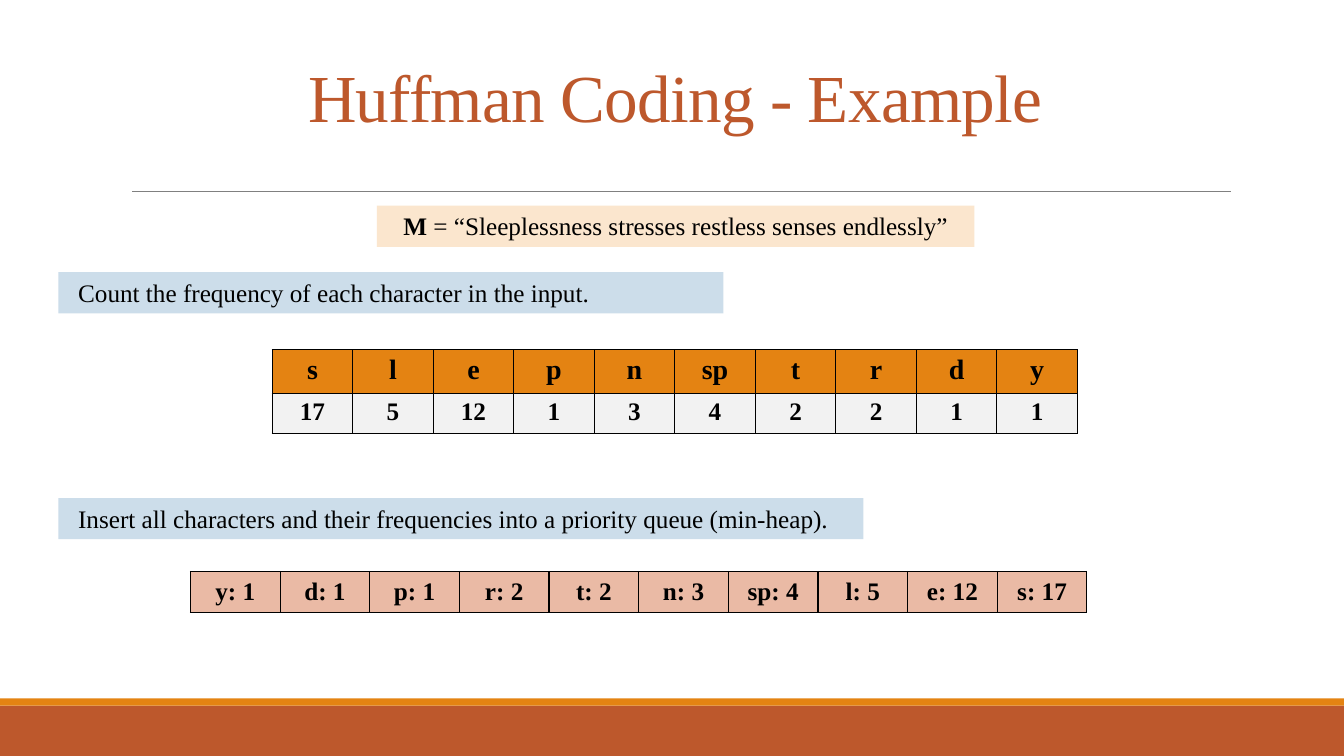
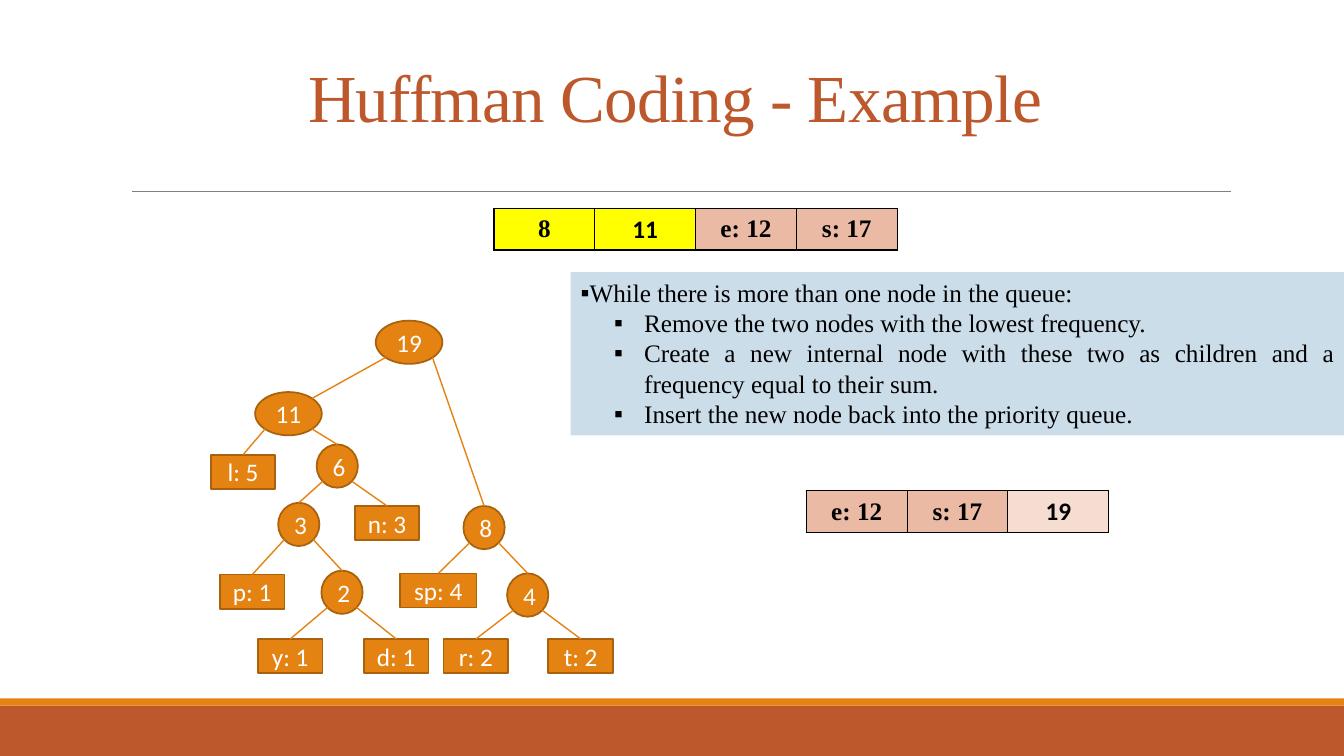
from lxml import etree
from pptx import Presentation
from pptx.dml.color import RGBColor
from pptx.enum import shapes, text
from pptx.oxml import ns
from pptx.util import Cm, Pt

RUST = RGBColor(0xBD, 0x58, 0x2C)
ORANGE = RGBColor(0xE4, 0x83, 0x12)
BROWN = RGBColor(0xA9, 0x61, 0x0D)
GREY = RGBColor(0x80, 0x80, 0x80)
CREAM = RGBColor(0xFB, 0xE6, 0xCE)
BLUE = RGBColor(0xCC, 0xDD, 0xEA)
SALMON = RGBColor(0xEA, 0xBA, 0xA5)
PINK = RGBColor(0xF5, 0xDD, 0xD2)
YELLOW = RGBColor(0xFF, 0xFF, 0x00)
PALE = RGBColor(0xF2, 0xF2, 0xF2)
BLACK = RGBColor(0, 0, 0)
WHITE = RGBColor(0xFF, 0xFF, 0xFF)
SERIF, SANS = "Times New Roman", "Calibri"
CENTER, JUSTIFY = text.PP_ALIGN.CENTER, text.PP_ALIGN.JUSTIFY

# Content
TITLE = "Huffman Coding - Example"
MESSAGE = ["M", " = “Sleeplessness stresses restless senses endlessly”"]
STEPS = [  # text, top, width
    ("Count the frequency of each character in the input.", 6.86, 16.76),
    ("Insert all characters and their frequencies into a priority queue (min-heap).", 12.55, 20.29),
]
FREQUENCIES = [("s", 17), ("l", 5), ("e", 12), ("p", 1), ("n", 3),
               ("sp", 4), ("t", 2), ("r", 2), ("d", 1), ("y", 1)]
FIRST_QUEUE = ["y: 1", "d: 1", "p: 1", "r: 2", "t: 2", "n: 3", "sp: 4", "l: 5", "e: 12", "s: 17"]
QUEUE_BEFORE = [("8", YELLOW, SERIF), ("11", YELLOW, SANS),
                ("e: 12", SALMON, SERIF), ("s: 17", SALMON, SERIF)]
QUEUE_AFTER = [("e: 12", SALMON, SERIF), ("s: 17", SALMON, SERIF), ("19", PINK, SANS)]
LOOP = [
    "While there is more than one node in the queue:",
    "Remove the two nodes with the lowest frequency.",
    "Create a new internal node with these two as children and a frequency equal to their sum.",
    "Insert the new node back into the priority queue.",
]
NODES = {  # left, top
    "19": (9.47, 8.08), "11": (6.43, 9.88), "l: 5": (5.31, 11.46),
    "6": (7.98, 11.2), "3": (7.01, 12.67), "n: 3": (8.94, 12.75),
    "8": (11.68, 12.75), "p: 1": (5.54, 14.48), "2": (8.1, 14.38),
    "sp: 4": (10.08, 14.45), "4": (12.78, 14.45),
    "y: 1": (6.5, 16.1), "d: 1": (9.17, 16.1), "r: 2": (11.18, 16.1), "t: 2": (13.82, 16.1),
}
CHILDREN = {"19": ("11", "8"), "11": ("l: 5", "6"), "6": ("3", "n: 3"), "3": ("p: 1", "2"),
            "2": ("y: 1", "d: 1"), "8": ("sp: 4", "4"), "4": ("r: 2", "t: 2")}
JOINED_AT_RIM = {"11"}
RIM = 0.35  # offset of a diagonal rim point from an oval's centre, in widths


def style(p, size=18, color=BLACK, font=SERIF, bold=False, align=None):
    p.alignment = align
    for r in p.runs:
        r.font.size, r.font.name, r.font.bold = Pt(size), font, bold
        r.font.color.rgb = color


def paint(sp, fill, line=None, width=1.25):
    sp.fill.solid()
    sp.fill.fore_color.rgb = fill
    if line is None:
        sp.line.fill.background()
    else:
        sp.line.color.rgb, sp.line.width = line, Pt(width)


def add_line(slide, start, end, color, width):
    line = slide.shapes.add_connector(shapes.MSO_CONNECTOR.STRAIGHT, *start, *end)
    line.line.color.rgb, line.line.width = color, Pt(width)
    etree.SubElement(line.element.spPr, ns.qn("a:effectLst"))
    return line


def indent(p, left, first=0, bullet=None):
    pPr = p._p.get_or_add_pPr()
    pPr.set("marL", str(Cm(left)))
    pPr.set("indent", str(Cm(first)))
    if bullet:
        etree.SubElement(pPr, ns.qn("a:buChar")).set("char", bullet)


def add_caption(slide, left, top, width, fill, parts, align):
    sp = slide.shapes.add_textbox(Cm(left), Cm(top), Cm(width), Cm(1.04))
    paint(sp, fill)
    sp.text_frame.word_wrap = True
    p = sp.text_frame.paragraphs[0]
    for part in parts:
        p.add_run().text = part
    style(p, align=align)
    return p


def border(cell):
    tcPr = cell._tc.get_or_add_tcPr()
    for side in ("lnL", "lnR", "lnT", "lnB"):
        ln = etree.SubElement(tcPr, ns.qn("a:" + side), w=str(Pt(1)))
        solid = etree.SubElement(ln, ns.qn("a:solidFill"))
        etree.SubElement(solid, ns.qn("a:srgbClr"), val=str(BLACK))


def add_grid(slide, left, top, col_width, heights, rows, sizes=(18,), tight=True):
    """Add a bordered table whose cells are (text, fill, font)."""
    columns = len(rows[0])
    table = slide.shapes.add_table(len(rows), columns, Cm(left), Cm(top),
                                   Cm(col_width * columns), Cm(sum(heights))).table
    table.first_row = table.horz_banding = False
    for column in table.columns:
        column.width = Cm(col_width)
    for i, (row, height, size) in enumerate(zip(rows, heights, sizes)):
        table.rows[i].height = Cm(height)
        for j, (label, fill, font) in enumerate(row):
            cell = table.cell(i, j)
            border(cell)
            cell.fill.solid()
            cell.fill.fore_color.rgb = fill
            cell.text_frame.text = label
            style(cell.text_frame.paragraphs[0], size, font=font, bold=True, align=CENTER)
            if tight:
                cell.vertical_anchor = text.MSO_ANCHOR.MIDDLE
                cell.margin_left = cell.margin_right = Cm(0.08)
                cell.margin_top = cell.margin_bottom = Cm(0.05)


def add_node(slide, label):
    left, top = NODES[label]
    if label in CHILDREN:
        kind = shapes.MSO_SHAPE.FLOWCHART_CONNECTOR
        width, height = (1.68 if len(label) > 1 else 1.04), 1.09
    else:
        kind = shapes.MSO_SHAPE.RECTANGLE
        width, height = (1.93 if len(label) > 4 else 1.63), 0.86
    sp = slide.shapes.add_shape(kind, Cm(left), Cm(top), Cm(width), Cm(height))
    sp.shadow.inherit = False
    paint(sp, ORANGE, BROWN)
    sp.text_frame.text = label
    style(sp.text_frame.paragraphs[0], color=WHITE, font=SANS, align=CENTER)
    return sp


def rim_point(oval, dx, dy):
    return (int(oval.left + oval.width * (0.5 + RIM * dx)),
            int(oval.top + oval.height * (0.5 + RIM * dy)))


def add_tree(slide):
    nodes = {label: add_node(slide, label) for label in NODES}
    for parent, pair in CHILDREN.items():
        for child, side in zip(pair, (-1, 1)):
            start = rim_point(nodes[parent], side, 1)
            end = rim_point(nodes[child], -side, -1)
            line = add_line(slide, start, end, ORANGE, 1)
            if child not in JOINED_AT_RIM:
                line.end_connect(nodes[child], 0)


def set_up_master(prs, slide):
    """Place the shared title, bands and rule on the master, drawing them by way of a slide."""
    master = prs.slide_master
    title = master.placeholders[0]
    title.left, title.top, title.width, title.height = Cm(3.05), Cm(1.27), Cm(27.94), Cm(2.29)
    title.text_frame.vertical_anchor = text.MSO_ANCHOR.BOTTOM
    title.text_frame.auto_size = text.MSO_AUTO_SIZE.NONE
    decor = []
    for top, height, color in ((17.78, 1.27, RUST), (17.6, 0.18, ORANGE)):
        band = slide.shapes.add_shape(shapes.MSO_SHAPE.RECTANGLE, 0, Cm(top),
                                      prs.slide_width, Cm(height))
        band.shadow.inherit = False
        paint(band, color)
        decor.append(band)
    decor.append(add_line(slide, (Cm(3.33), Cm(4.83)), (Cm(31.01), Cm(4.83)), GREY, 0.5))
    for i, sp in enumerate(decor):
        sp.element.xpath(".//p:cNvPr")[0].set("id", str(100 + i))
        master.shapes.element.insert(2 + i, sp.element)


def add_slide(prs, layout):
    slide = prs.slides.add_slide(prs.slide_layouts[layout])
    slide.shapes.title.text_frame.text = TITLE
    p = slide.shapes.title.text_frame.paragraphs[0]
    style(p, 48, RUST, align=CENTER)
    p.line_spacing = 0.85
    p.runs[0].font._element.set("spc", "-50")
    return slide


def fill_counting_slide(slide):
    p = add_caption(slide, 9.5, 5.18, 15.06, CREAM, MESSAGE, CENTER)
    p.runs[0].font.bold = True
    for step, top, width in STEPS:
        indent(add_caption(slide, 1.47, top, width, BLUE, [step], JUSTIFY), 0.25)
    rows = [[(letter, ORANGE, SERIF) for letter, _ in FREQUENCIES],
            [(str(count), PALE, SERIF) for _, count in FREQUENCIES]]
    add_grid(slide, 6.86, 8.81, 2.03, (1.1, 1.02), rows, sizes=(20, 18), tight=False)
    queue = [(label, SALMON, SERIF) for label in FIRST_QUEUE]
    add_grid(slide, 4.8, 14.4, 2.26, (1.04,), [queue])


def fill_merging_slide(slide):
    body = slide.placeholders[1]
    body.left, body.top, body.width, body.height = Cm(14.38), Cm(6.86), Cm(19.51), Cm(4.11)
    paint(body, BLUE)
    tf = body.text_frame
    tf.auto_size = text.MSO_AUTO_SIZE.NONE
    tf.text = "\n".join(LOOP)
    for i, p in enumerate(tf.paragraphs):
        style(p, align=JUSTIFY)
        p.space_before = Pt(0)
        indent(p, 1.6 if i else 0, -0.76, "▪")
    add_grid(slide, 12.45, 5.26, 2.54, (1.04,), [QUEUE_BEFORE])
    add_grid(slide, 20.32, 12.37, 2.54, (1.04,), [QUEUE_AFTER])
    add_tree(slide)


def main():
    prs = Presentation()
    prs.slide_width, prs.slide_height = Cm(33.87), Cm(19.05)
    counting = add_slide(prs, 5)
    set_up_master(prs, counting)
    fill_counting_slide(counting)
    fill_merging_slide(add_slide(prs, 1))
    prs.save("out.pptx")


if __name__ == "__main__":
    main()
